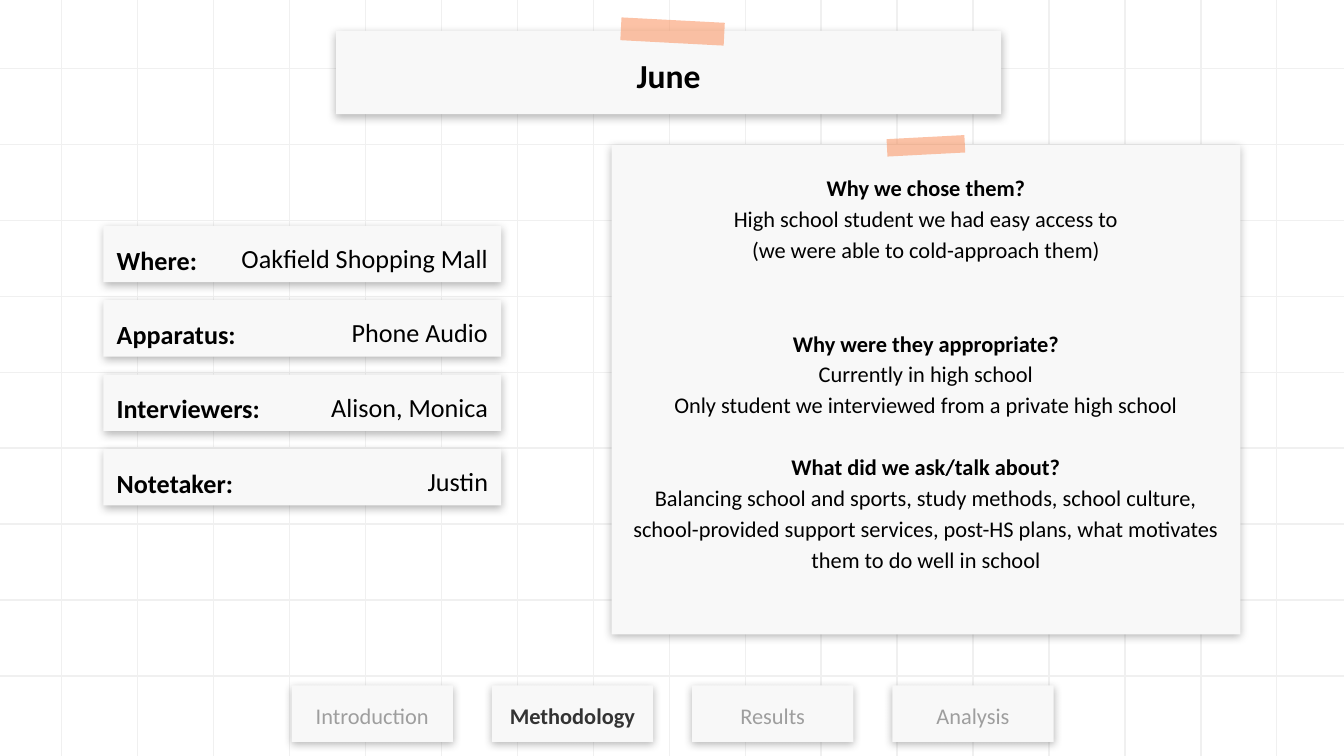
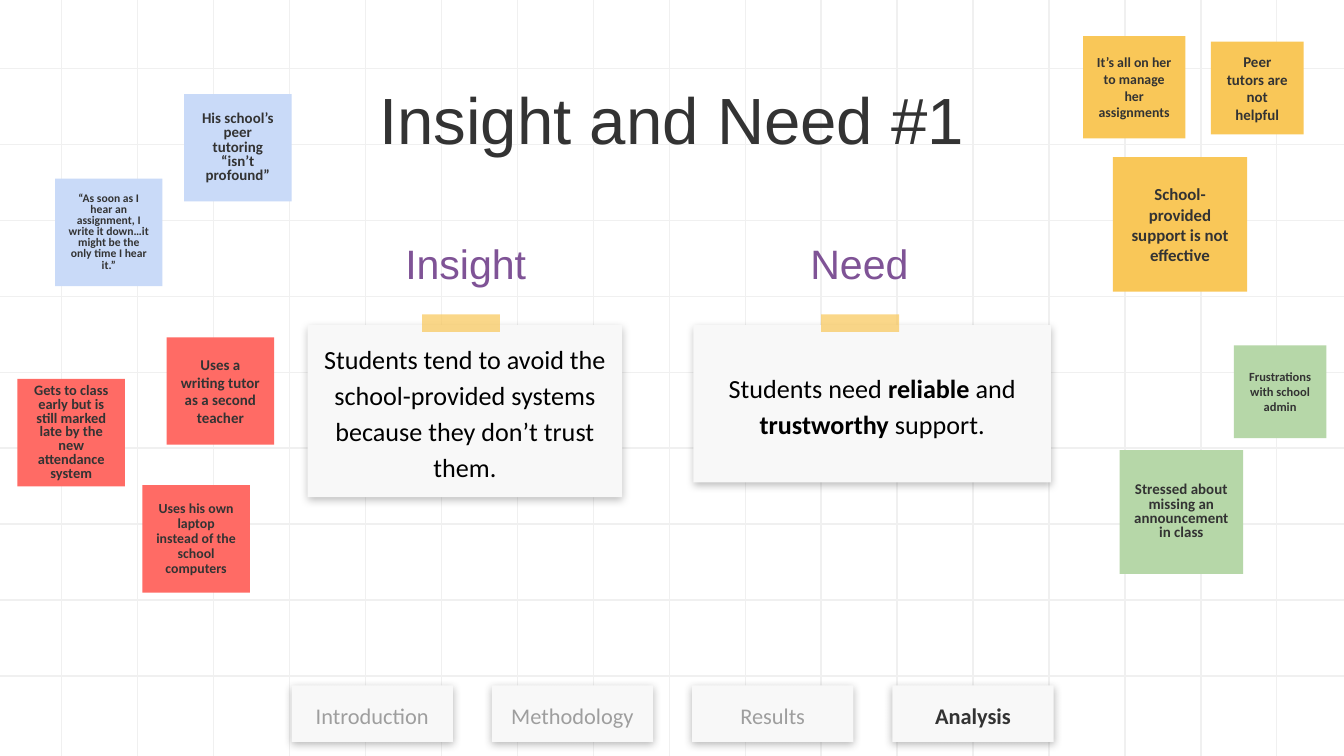
from lxml import etree
from pptx import Presentation, util as u
from pptx.dml.color import RGBColor
from pptx.enum import shapes, text
from pptx.oxml.ns import qn

COLORS = {
    "grid": "F0F0F0", "card": "F8F8F8", "black": "000000", "ink": "333333",
    "muted": "9E9E9E", "purple": "7F5396", "orange": "FA9563",
    "yellow": "F9C758", "blue": "C9DAF8", "red": "FF6B65", "green": "B6D7A8",
}
SECTIONS = ["Introduction", "Methodology", "Results", "Analysis"]
LEFT, CENTER, RIGHT = text.PP_ALIGN.LEFT, text.PP_ALIGN.CENTER, text.PP_ALIGN.RIGHT
TOP, MIDDLE = text.MSO_ANCHOR.TOP, text.MSO_ANCHOR.MIDDLE


def rgb(name):
    return RGBColor.from_string(COLORS[name])


def inches(*lengths):
    return [u.Inches(length) for length in lengths]


def write(shape, content, size=14, color="black", bold=False, font="Calibri",
          align=CENTER, anchor=MIDDLE, spacing=1.15, gaps=None, bottom=0.1,
          fit=text.MSO_AUTO_SIZE.NONE):
    """Fill a shape with one paragraph per line; *stars* switch bold on and off."""
    frame = shape.text_frame
    frame.word_wrap = True
    frame.auto_size = fit
    frame.vertical_anchor = anchor
    frame.margin_left = frame.margin_right = frame.margin_top = u.Inches(0.1)
    frame.margin_bottom = u.Inches(bottom)
    for index, line in enumerate(content.split("\n")):
        paragraph = frame.add_paragraph() if index else frame.paragraphs[0]
        paragraph.alignment = align
        paragraph.line_spacing = spacing
        paragraph.space_before = u.Pt((gaps or {}).get(index, 0))
        for position, piece in enumerate(line.split("*")):
            if piece:
                run = paragraph.add_run()
                run.text = piece
                run.font.size = u.Pt(size)
                run.font.name = font
                run.font.bold = bold or position % 2 == 1
                run.font.color.rgb = rgb(color)


class Deck:
    def __init__(self):
        self.prs = Presentation()
        self.prs.slide_width, self.prs.slide_height = inches(10, 5.625)
        self.slide = None

    def new_slide(self):
        self.slide = self.prs.slides.add_slide(self.prs.slide_layouts[5])

    def grid(self):
        """Draw the squared paper once and move it to the slide master."""
        paper = self.slide.shapes.add_group_shape()
        pitch = (9.5 - 0.46) / 16
        columns = [0.46 + pitch * i for i in range(17)]
        rows = [0.51 + pitch * i for i in range(9)]
        ends = [(x, -0.01, x, 5.69) for x in columns]
        ends += [(10.01, y, -0.01, y) for y in rows]
        for end in ends:
            rule = paper.shapes.add_connector(
                shapes.MSO_CONNECTOR.STRAIGHT, *inches(*end))
            rule.line.color.rgb = rgb("grid")
            rule.line.width = u.Pt(0.75)
            etree.SubElement(rule.element.spPr, qn("a:effectLst"))
        for number, tag in enumerate(paper.element.iter(qn("p:cNvPr")), 100):
            tag.set("id", str(number))
        self.prs.slide_master.shapes.element.insert(2, paper.element)

    def title(self, content, at, **fmt):
        title = self.slide.shapes.title
        title.left, title.top, title.width, title.height = inches(*at)
        write(title, content, **fmt)
        return title

    def rect(self, at, fill):
        rect = self.slide.shapes.add_shape(shapes.MSO_SHAPE.RECTANGLE, *inches(*at))
        rect.fill.solid()
        rect.fill.fore_color.rgb = rgb(fill)
        rect.line.fill.background()
        rect.shadow.inherit = False
        return rect

    def lift(self, shape, color="ink", opacity=34):
        """Give a shape the soft shadow of a paper card."""
        shape.shadow.inherit = False
        effects = shape.element.spPr.find(qn("a:effectLst"))
        shadow = etree.SubElement(
            effects, qn("a:outerShdw"), blurRad=str(u.Pt(4.5)), dist=str(u.Pt(1.5)),
            dir="5400000", algn="bl", rotWithShape="0")
        tint = etree.SubElement(shadow, qn("a:srgbClr"), val=COLORS[color])
        etree.SubElement(tint, qn("a:alpha"), val=str(opacity * 1000))

    def card(self, content, at, shadow=("ink", 34), **fmt):
        card = self.rect(at, "card")
        self.lift(card, *shadow)
        write(card, content, **fmt)

    def tape(self, at, color, opacity, turn=0):
        tape = self.rect(at, color)
        tape.rotation = turn
        tint = tape.element.spPr.find(qn("a:solidFill"))[0]
        etree.SubElement(tint, qn("a:alpha"), val=str(opacity * 1000))

    def label(self, content, at, **fmt):
        label = self.slide.shapes.add_textbox(*inches(*at))
        write(label, content, anchor=TOP, **fmt)

    def sticky(self, content, at, color, size, spacing=1.0):
        write(self.rect(at, color), content, size=size, color="ink", bold=True,
              spacing=spacing)

    def navigation(self, current):
        for i, section in enumerate(SECTIONS):
            active = section == current
            self.card(section, (2.17 + 1.49 * i, 5.1, 1.2, 0.42), size=12,
                      color="ink" if active else "muted", bold=active)


def interview_slide(deck):
    deck.new_slide()
    deck.grid()

    # Title card
    heading = deck.title("June", (2.5, 0.23, 4.95, 0.62), size=18, bold=True)
    heading.fill.solid()
    heading.fill.fore_color.rgb = rgb("card")
    deck.lift(heading)

    # Questions and answers
    answers = "\n".join([
        "*Why we chose them?*",
        "High school student we had easy access to",
        "(we were able to cold-approach them)",
        "*Why were they appropriate?*",
        "Currently in high school",
        "Only student we interviewed from a private high school",
        "*What did we ask/talk about?*",
        "Balancing school and sports, study methods, school culture, "
        "school-provided support services, post-HS plans, what motivates "
        "them to do well in school",
    ])
    deck.card(answers, (4.55, 1.08, 4.68, 3.64), size=12,
              gaps={3: 33.5, 6: 16.5}, bottom=0.37)
    deck.tape((4.62, 0.15, 0.77, 0.17), "orange", 57, turn=3)
    deck.tape((6.6, 1.02, 0.58, 0.13), "orange", 57, turn=357)
    deck.navigation("Methodology")

    # Interview facts: name, value, width of the value
    facts = [
        ("Where:", "Oakfield Shopping Mall", 2.32),
        ("Apparatus:", "Phone Audio", 1.66),
        ("Interviewers:", "Alison, Monica", 2.38),
        ("Notetaker:", "Justin", 1.66),
    ]
    right = 3.73
    for i, (name, value, width) in enumerate(facts):
        top = 1.68 + (3.34 - 1.68) / 3 * i
        deck.card(name, (0.77, top, 2.96, 0.42), bold=True, align=LEFT, anchor=TOP)
        deck.label(value, (right - width, top - 0.01, width, 0.44), align=RIGHT,
                   fit=text.MSO_AUTO_SIZE.SHAPE_TO_FIT_TEXT)


def insight_slide(deck):
    deck.new_slide()
    deck.title("Insight and Need #1", (0.74, 0.49, 8.52, 0.63), size=35,
               color="ink", font="Arial", anchor=TOP, spacing=1.0)

    # Insight and need
    soft = ("black", 25)
    deck.card("Students need *reliable* and *trustworthy* support.",
              (5.16, 2.42, 2.66, 1.17), shadow=soft)
    deck.card("Students tend to avoid the school-provided systems because they "
              "don’t trust them.", (2.29, 2.42, 2.34, 1.28), shadow=soft, anchor=TOP)
    for heading, left, tape_left in [("Insight", 2.18, 3.14), ("Need", 5.11, 6.11)]:
        deck.label(heading, (left, 1.62, 2.57, 0.63), size=22, color="purple",
                   font="Arial")
        deck.tape((tape_left, 2.34, 0.58, 0.13), "yellow", 70)
    deck.navigation("Analysis")

    # Sticky notes: text, left, top, side, colour, size, line spacing
    notes = [
        ("“As soon as I hear an assignment, I write it down…it might be the only "
         "time I hear it.”", 0.41, 1.33, 0.8, "blue", 6.2, 0.8),
        ("Uses a writing tutor as a second teacher", 1.24, 2.51, 0.8, "red", 8, 1.0),
        ("It’s all on her to manage her assignments",
         8.06, 0.27, 0.76, "yellow", 7.4, 1.0),
        ("School- provided support is not effective",
         8.28, 1.17, 1.0, "yellow", 9, 1.0),
        ("Peer tutors are not helpful", 9.01, 0.31, 0.69, "yellow", 8, 1.0),
        ("Stressed about missing an announcement in class",
         8.33, 3.35, 0.92, "green", 8, 0.8),
        ("His school’s peer tutoring “isn’t profound”",
         1.37, 0.7, 0.8, "blue", 8, 0.8),
        ("Uses his own laptop instead of the school computers",
         1.06, 3.61, 0.8, "red", 7.4, 0.9),
        ("Frustrations with school admin", 9.18, 2.57, 0.69, "green", 6.7, 1.0),
        ("Gets to class early but is still marked late by the new attendance "
         "system", 0.13, 2.82, 0.8, "red", 7.7, 0.8),
    ]
    for content, left, top, side, color, size, spacing in notes:
        deck.sticky(content, (left, top, side, side), color, size, spacing)


def main():
    deck = Deck()
    interview_slide(deck)
    insight_slide(deck)
    deck.prs.save("out.pptx")


if __name__ == "__main__":
    main()
